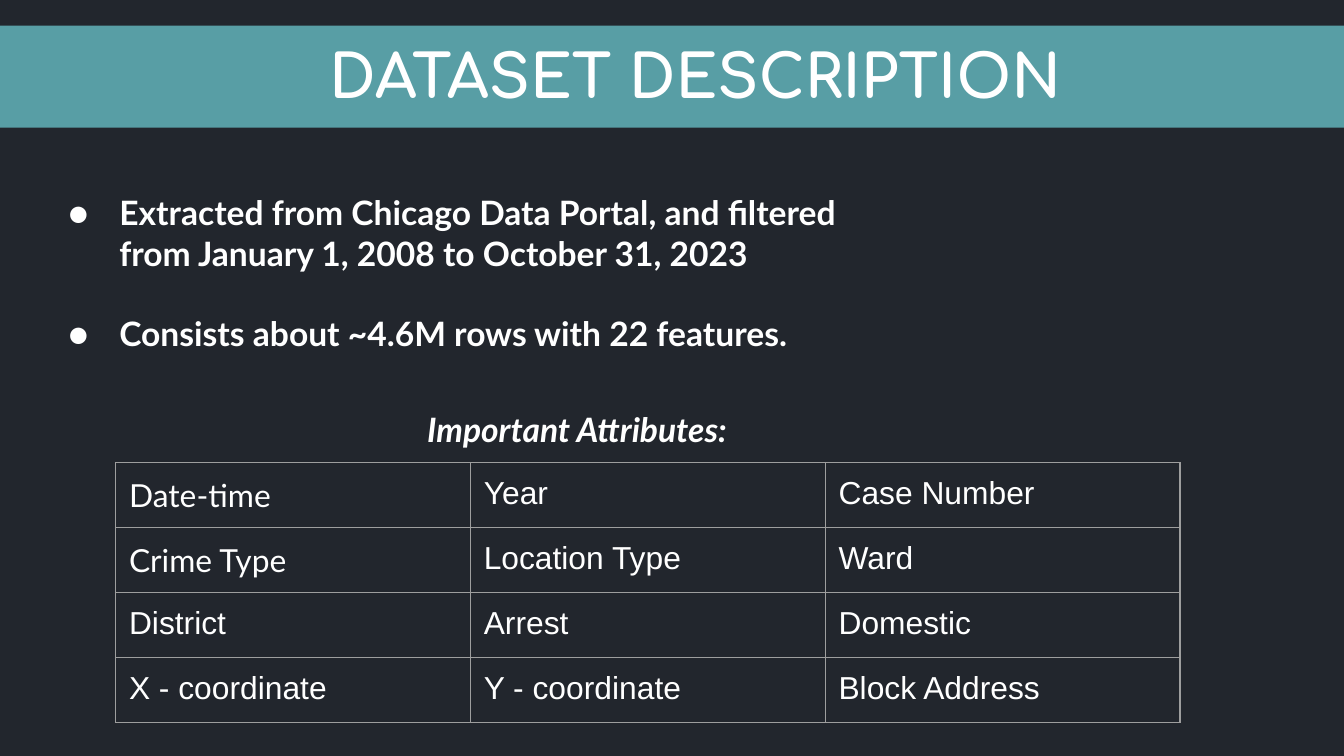
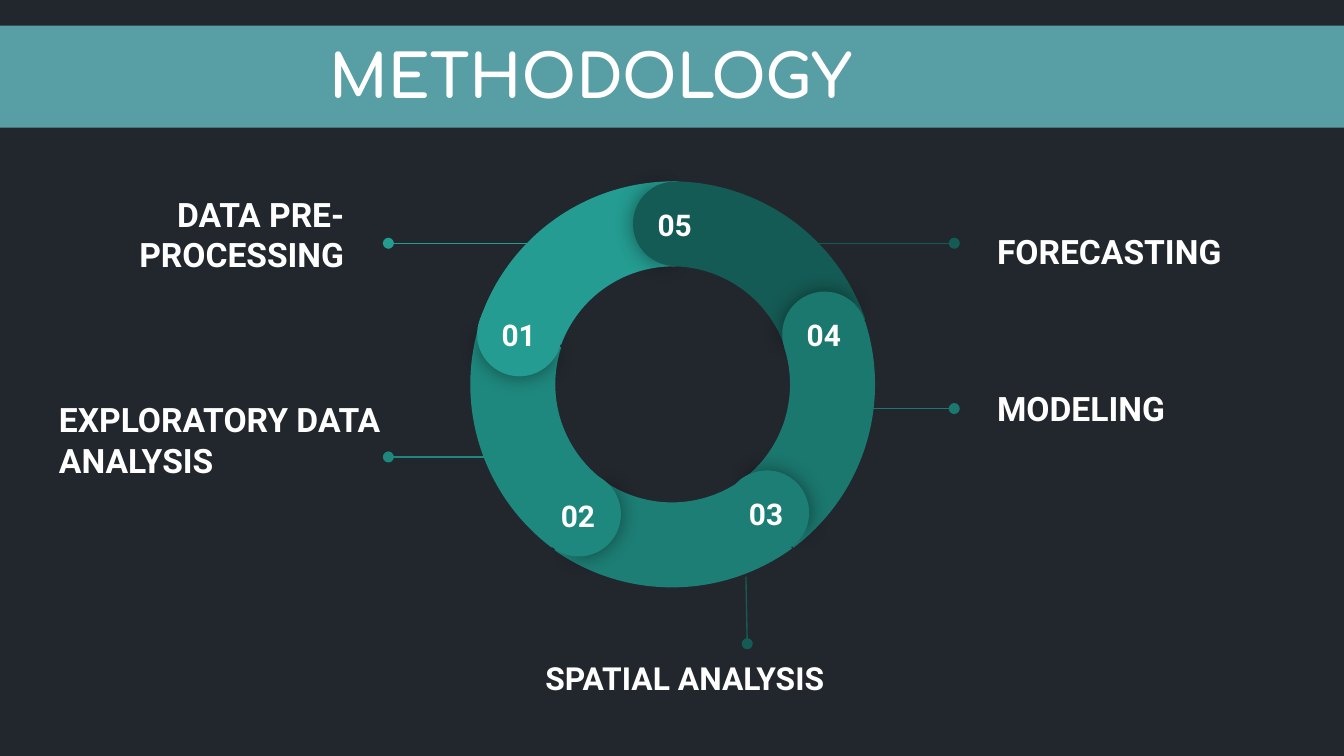
from dataclasses import dataclass

from lxml.etree import SubElement
from pptx import Presentation
from pptx.dml.color import RGBColor
from pptx.enum.shapes import MSO_CONNECTOR as Connector, MSO_SHAPE as Preset
from pptx.enum.text import MSO_ANCHOR as Anchor, PP_ALIGN as Align
from pptx.oxml.ns import qn
from pptx.util import Emu, Pt

PX = 9144  # EMU per px, 100 px to the inch
COLORS = {
    "night": "22262D", "band": "589EA5", "white": "FFFFFF", "grid": "9E9E9E",
    "01": "249C91", "02": "1F887E", "03": "1D7E75", "04": "1B786F", "05": "155B55",
}
INSET = 10
ARC_SIZE, ARC_ADJUST = 304, (126.03, 168.68, 20.8 / 100)
CAP_SIZE = 63
CAP_SHADOWED, CAP_FLAT = (61.9, 149.96), (40.28, 171.84)
CAP_FLIP = 179.3

ATTRIBUTES = [
    ["Date-time", "Year", "Case Number"],
    ["Crime Type", "Location Type", "Ward"],
    ["District", "Arrest", "Domestic"],
    ["X - coordinate", "Y - coordinate", "Block Address"],
]
LATO_ATTRIBUTES = {"Date-time", "Crime Type"}
FACTS = [
    "Extracted from Chicago Data Portal, and filtered from January 1, 2008 to October 31, 2023",
    "Consists about ~4.6M rows with 22 features.",
]


@dataclass(frozen=True)
class Box:
    left: int
    top: int
    width: int
    height: int

    def emu(self) -> tuple:
        return tuple(px(v) for v in (self.left, self.top, self.width, self.height))


@dataclass(frozen=True)
class Style:
    font: str
    size: int
    bold: bool = True
    italic: bool = False
    align: Align = Align.LEFT


@dataclass(frozen=True)
class Step:
    """One method step: a ring segment ending in a numbered round cap."""
    number: str
    arc: tuple
    arc_turn: int
    cap: tuple
    cap_turn: float


@dataclass(frozen=True)
class Callout:
    text: str
    box: Box
    start: tuple
    end: tuple
    color: str
    size: int = 18
    align: Align = Align.LEFT
    raised: bool = False


TITLE = Style("Comfortaa", 32)
FACT = Style("Lato", 18)
TABLE_HEADING = Style("Lato", 18, italic=True)
NUMBER = Style("Roboto", 16, align=Align.CENTER)

STEPS = [
    Step("02", (350, 134), 277, (399, 351), 211.1),
    Step("04", (347, 134), 132, (582, 217), 67.1),
    Step("05", (348, 135), 60, (471, 135), 357.1),
    Step("03", (348, 133), 204, (539, 350), 139.1),
    Step("01", (349, 135), 350, (355, 217), 284.1),
]
CALLOUTS = [
    Callout("DATA PRE-PROCESSING", Box(0, 136, 266, 101), (423, 181), (289, 181), "01",
            align=Align.RIGHT, raised=True),
    Callout("EXPLORATORY DATA ANALYSIS", Box(34, 289, 302, 101), (391, 340), (289, 340), "02",
            raised=True),
    Callout("SPATIAL ANALYSIS", Box(396, 454, 261, 101), (555, 429), (556, 479), "05", size=17),
    Callout("FORECASTING", Box(732, 136, 232, 101), (570, 181), (710, 181), "05"),
    Callout("MODELING", Box(732, 253, 232, 101), (614, 304), (710, 304), "04"),
]


def px(length: int) -> Emu:
    return Emu(length * PX)


def rgb(name: str) -> RGBColor:
    return RGBColor.from_string(COLORS[name])


def add_run(paragraph, text: str, style: Style) -> None:
    paragraph.alignment = style.align
    run = paragraph.add_run()
    run.text = text
    font = run.font
    font.name, font.size = style.font, Pt(style.size)
    font.bold, font.italic = style.bold, style.italic
    font.color.rgb = rgb("white")


def set_frame(frame, anchor=Anchor.TOP, left=INSET, top=INSET, bottom=INSET) -> None:
    frame.word_wrap = True
    frame.vertical_anchor = anchor
    frame.margin_left, frame.margin_right = px(left), px(INSET)
    frame.margin_top, frame.margin_bottom = px(top), px(bottom)


def add_text(slide, box: Box, text: str, style: Style, **layout) -> None:
    frame = slide.shapes.add_textbox(*box.emu()).text_frame
    set_frame(frame, **layout)
    add_run(frame.paragraphs[0], text, style)


def add_filled(slide, preset: Preset, box: Box, color: str, adjust=(), turn: float = 0):
    shape = slide.shapes.add_shape(preset, *box.emu())
    shape.shadow.inherit = False
    shape.fill.solid()
    shape.fill.fore_color.rgb = rgb(color)
    shape.line.fill.background()
    for index, value in enumerate(adjust):
        shape.adjustments[index] = value
    shape.rotation = turn % 360
    return shape


def add_glow(shape) -> None:
    """Give the shape a soft black shadow with no offset."""
    effects = shape._element.spPr.find(qn("a:effectLst"))
    shadow = SubElement(effects, qn("a:outerShdw"), blurRad=str(Pt(11.2)), dist="0", dir="0",
                        algn="ctr", rotWithShape="0")
    black = SubElement(shadow, qn("a:srgbClr"), val="000000")
    SubElement(black, qn("a:alpha"), val="43000")


def add_pointer(slide, start: tuple, end: tuple, color: str) -> None:
    """Draw a thin line with a dot at its end."""
    pointer = slide.shapes.add_connector(
        Connector.STRAIGHT, *(px(v) for v in (*start, *end)))
    pointer.line.color.rgb = rgb(color)
    pointer.line.width = Pt(0.75)
    properties = pointer._element.spPr
    SubElement(properties.find(qn("a:ln")), qn("a:tailEnd"), type="oval")
    SubElement(properties, qn("a:effectLst"))


def add_titled_slide(deck, title: str):
    slide = deck.slides.add_slide(deck.slide_layouts[6])
    slide.background.fill.solid()
    slide.background.fill.fore_color.rgb = rgb("night")
    band = add_filled(slide, Preset.RECTANGLE, Box(0, 19, 1000, 76), "band")
    set_frame(band.text_frame, Anchor.MIDDLE, left=245, bottom=13)
    add_run(band.text_frame.paragraphs[0], title, TITLE)
    return slide


def add_facts(slide, box: Box, facts: list) -> None:
    frame = slide.shapes.add_textbox(*box.emu()).text_frame
    set_frame(frame)
    for index, fact in enumerate(facts):
        paragraph = frame.add_paragraph() if index else frame.paragraphs[0]
        properties = paragraph._p.get_or_add_pPr()
        properties.set("marL", str(px(50)))
        properties.set("indent", str(px(-38)))
        bullet_color = SubElement(properties, qn("a:buClr"))
        SubElement(bullet_color, qn("a:srgbClr"), val=COLORS["white"])
        SubElement(properties, qn("a:buFont"), typeface=FACT.font)
        SubElement(properties, qn("a:buChar"), char="●")
        if index:
            paragraph.space_before = Pt(21.6)
        add_run(paragraph, fact, FACT)


def add_borders(cell) -> None:
    properties = cell._tc.get_or_add_tcPr()
    for side in ("lnL", "lnR", "lnT", "lnB"):
        line = SubElement(properties, qn(f"a:{side}"), w=str(Pt(0.75)))
        fill = SubElement(line, qn("a:solidFill"))
        SubElement(fill, qn("a:srgbClr"), val=COLORS["grid"])


def add_attribute_table(slide, box: Box, column_width: int, row_height: int) -> None:
    table = slide.shapes.add_table(len(ATTRIBUTES), len(ATTRIBUTES[0]), *box.emu()).table
    table.first_row = table.horz_banding = False
    for column in table.columns:
        column.width = px(column_width)
    for row, names in zip(table.rows, ATTRIBUTES):
        row.height = px(row_height)
        for cell, name in zip(row.cells, names):
            cell.margin_left = cell.margin_right = px(INSET)
            cell.margin_top = cell.margin_bottom = px(INSET)
            add_borders(cell)
            cell.fill.background()
            font = "Lato" if name in LATO_ATTRIBUTES else "Arial"
            add_run(cell.text_frame.paragraphs[0], name, Style(font, 17, bold=False))


def add_ring(slide) -> None:
    for step in STEPS:
        add_filled(slide, Preset.BLOCK_ARC, Box(*step.arc, ARC_SIZE, ARC_SIZE), step.number,
                   ARC_ADJUST, step.arc_turn)
    for step in STEPS:
        cap = Box(*step.cap, CAP_SIZE, CAP_SIZE)
        add_glow(add_filled(slide, Preset.PIE, cap, step.number, CAP_SHADOWED, step.cap_turn))
        add_filled(slide, Preset.PIE, cap, step.number, CAP_FLAT, step.cap_turn + CAP_FLIP)
        add_text(slide, Box(cap.left + 3, cap.top + 9, 56, 29), step.number, NUMBER)


def add_callout(slide, callout: Callout) -> None:
    add_pointer(slide, callout.start, callout.end, callout.color)
    style = Style("Roboto", callout.size, align=callout.align)
    margins = {"top": 0, "bottom": 25} if callout.raised else {}
    add_text(slide, callout.box, callout.text, style, anchor=Anchor.MIDDLE, **margins)


def main() -> None:
    deck = Presentation()
    deck.slide_width = px(1000)
    deck.slide_height = Emu(deck.slide_width * 9 // 16)

    dataset = add_titled_slide(deck, "DATASET DESCRIPTION")
    add_facts(dataset, Box(29, 133, 634, 269), FACTS)
    add_attribute_table(dataset, Box(86, 344, 328, 328), column_width=264, row_height=42)
    add_text(dataset, Box(308, 294, 348, 37), "Important Attributes:", TABLE_HEADING)

    methodology = add_titled_slide(deck, "METHODOLOGY")
    for callout in CALLOUTS:
        add_callout(methodology, callout)
    add_ring(methodology)

    deck.save("out.pptx")


if __name__ == "__main__":
    main()
